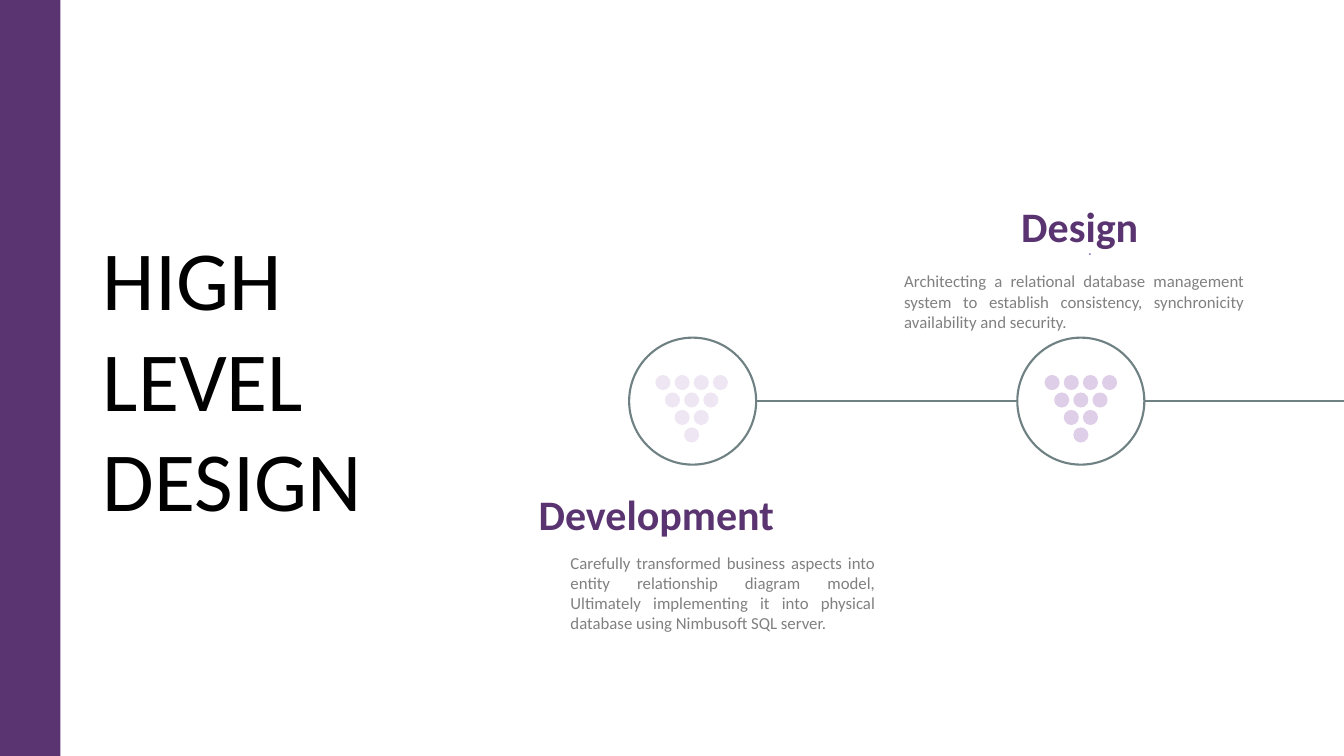
from lxml.etree import SubElement
from pptx import Presentation
from pptx.dml.color import RGBColor
from pptx.enum.shapes import MSO_CONNECTOR, MSO_SHAPE
from pptx.enum.text import MSO_ANCHOR, MSO_AUTO_SIZE, PP_ALIGN
from pptx.oxml.ns import qn
from pptx.util import Inches, Pt

PURPLE, GREY, SLATE = "5A3471", "808080", "6F8183"
CIRCLE_SIZE, CIRCLE_TOP = 1.26, 3.35
DOT_SIZE, DOT_STEP, DOT_ROW_STEP, DOT_ROWS = 0.15, 0.19, 0.52 / 3, 4


def color(hex_code):
    return RGBColor.from_string(hex_code)


def write(frame, text, size, hex_code, bold=False, align=PP_ALIGN.LEFT,
          anchor=MSO_ANCHOR.TOP, font="Calibri"):
    frame.word_wrap = True
    frame.auto_size = MSO_AUTO_SIZE.NONE
    frame.vertical_anchor = anchor
    paragraph = frame.paragraphs[0]
    paragraph.alignment = align
    run = paragraph.add_run()
    run.text = text
    run.font.name = font
    run.font.size = Pt(size)
    run.font.bold = bold
    run.font.color.rgb = color(hex_code)


class TimelineSlide:
    """Draws the parts of a timeline slide in one shared style."""

    def __init__(self, slide):
        self.slide = slide
        self.shapes = slide.shapes

    def title(self, text, left, top, width, height):
        title = self.shapes.title
        title.left, title.top = Inches(left), Inches(top)
        title.width, title.height = Inches(width), Inches(height)
        write(title.text_frame, text, 60, "000000", anchor=MSO_ANCHOR.MIDDLE)

    def text(self, text, left, top, width, height, size=12, hex_code=GREY, **style):
        box = self.shapes.add_textbox(Inches(left), Inches(top), Inches(width), Inches(height))
        write(box.text_frame, text, size, hex_code, **style)

    def heading(self, text, left, top, width, height):
        self.text(text, left, top, width, height, size=30, hex_code=PURPLE,
                  bold=True, align=PP_ALIGN.CENTER)

    def shape(self, kind, left, top, width, height, fill, outline=None, parent=None):
        shapes = parent.shapes if parent else self.shapes
        shape = shapes.add_shape(kind, Inches(left), Inches(top), Inches(width), Inches(height))
        shape.shadow.inherit = False
        shape.fill.solid()
        shape.fill.fore_color.rgb = color(fill)
        if outline:
            shape.line.color.rgb = color(outline)
            shape.line.width = Pt(1.5)
        else:
            shape.line.fill.background()

    def line(self, start, end, y):
        line = self.shapes.add_connector(
            MSO_CONNECTOR.STRAIGHT, Inches(start), Inches(y), Inches(end), Inches(y))
        line.line.color.rgb = color(SLATE)
        line.line.width = Pt(1)
        SubElement(line._element.spPr, qn("a:effectLst"))

    def milestone(self, left, dots_left, dot_color):
        self.shape(MSO_SHAPE.OVAL, left, CIRCLE_TOP, CIRCLE_SIZE, CIRCLE_SIZE, "FFFFFF", SLATE)
        grapes = self.shapes.add_group_shape()
        for row in range(DOT_ROWS):
            for column in range(DOT_ROWS - row):
                self.shape(MSO_SHAPE.OVAL, dots_left + (column + row / 2) * DOT_STEP,
                           3.72 + row * DOT_ROW_STEP, DOT_SIZE, DOT_SIZE,
                           dot_color, parent=grapes)


def main():
    deck = Presentation()
    deck.slide_width, deck.slide_height = Inches(13.33), Inches(7.5)
    page = TimelineSlide(deck.slides.add_slide(deck.slide_layouts[5]))

    page.title("HIGH LEVEL DESIGN", 0.92, 1.7, 3.34, 4.09)
    page.shape(MSO_SHAPE.RECTANGLE, 0, 0, 0.6, 7.5, PURPLE)
    page.line(6.91, 13.33, CIRCLE_TOP + CIRCLE_SIZE / 2)
    page.milestone(6.24, 6.5, "EFE6F4")
    page.milestone(10.09, 10.36, "DECEE8")

    page.heading("Development", 4.48, 4.8, 4.06, 0.61)
    page.text("Carefully transformed business aspects into entity relationship diagram "
              "model, Ultimately implementing it into physical database using "
              "Nimbusoft SQL server.", 5.56, 5.43, 3.22, 0.91, align=PP_ALIGN.JUSTIFY)
    page.heading("Design", 8.46, 1.94, 4.5, 0.61)
    page.text(".", 9.2, 2.32, 3.22, 0.3, hex_code="8784C7", align=PP_ALIGN.CENTER)
    page.text("Architecting a relational database management system to establish "
              "consistency, synchronicity availability and security.",
              8.87, 2.64, 3.57, 0.71, align=PP_ALIGN.JUSTIFY)
    deck.save("out.pptx")


if __name__ == "__main__":
    main()
